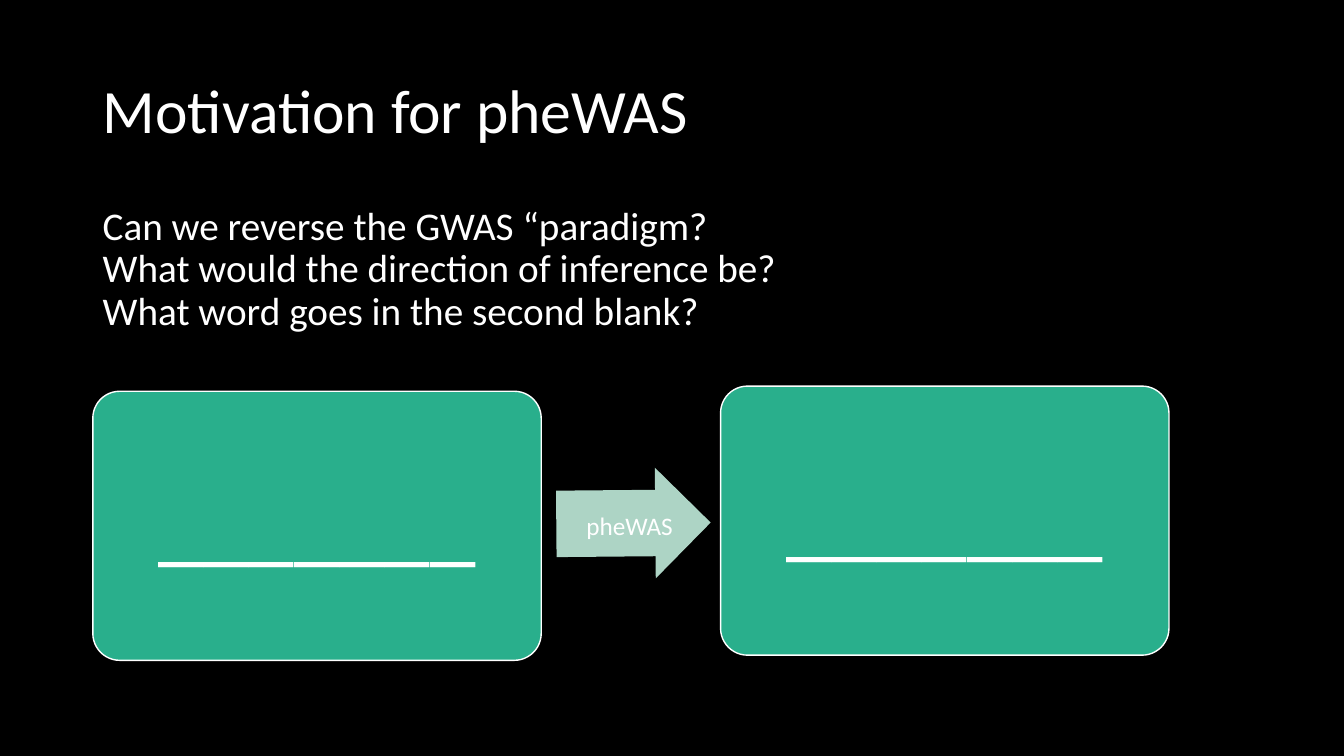
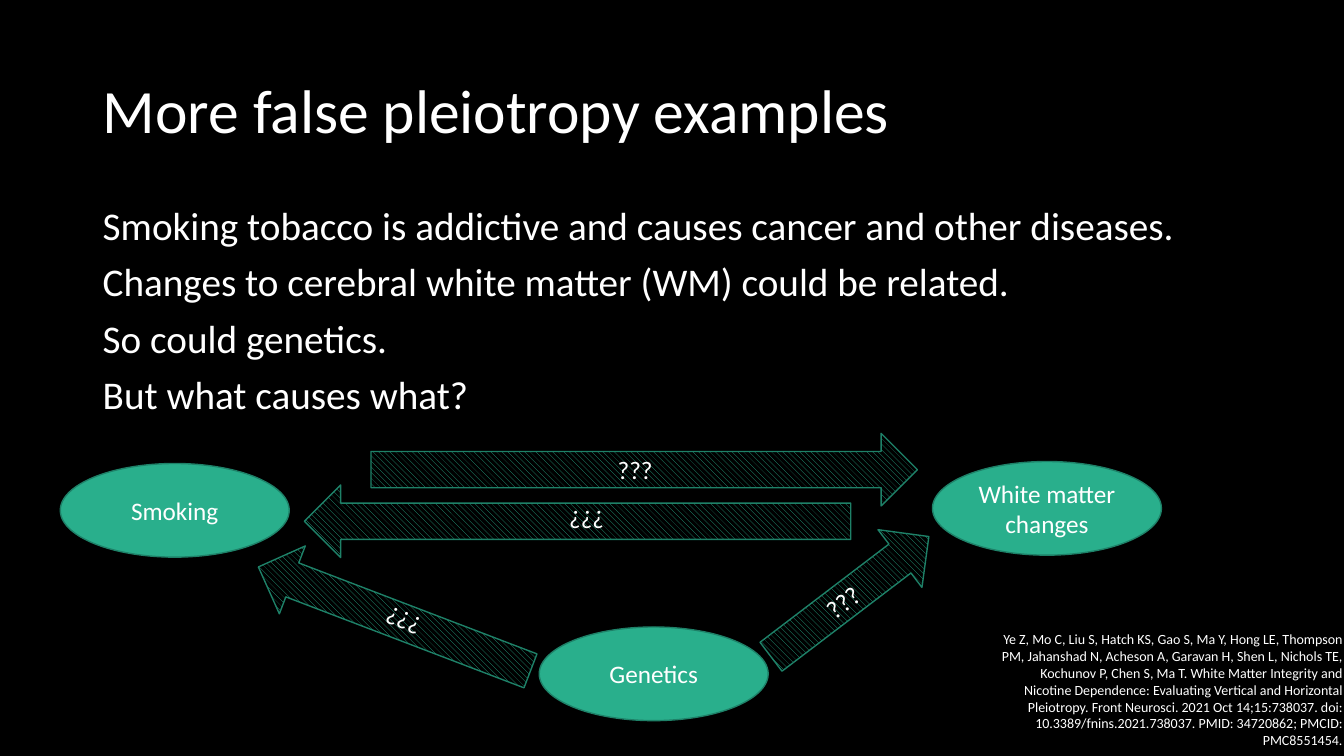
from dataclasses import dataclass, field

from pptx import Presentation
from pptx.dml.color import RGBColor
from pptx.enum.dml import MSO_PATTERN
from pptx.enum.shapes import MSO_SHAPE
from pptx.enum.text import MSO_ANCHOR, PP_ALIGN
from pptx.util import Cm, Pt

COLORS = {
    "black": "000000",
    "white": "FFFFFF",
    "green": "29AF8C",
    "dark green": "1E8168",
    "pale green": "ADD4C5",
}
FONT = "Calibri"

TITLE = {"line_spacing": 0.9}
BODY = {"line_spacing": 0.9, "space_before": Pt(10)}
CENTERED = {"alignment": PP_ALIGN.CENTER}
BLANK = {"alignment": PP_ALIGN.CENTER, "line_spacing": 0.9}
CITATION = {"alignment": PP_ALIGN.RIGHT}
MIDDLE = {"vertical_anchor": MSO_ANCHOR.MIDDLE}
CARD_FRAME = MIDDLE | {f"margin_{side}": Cm(0.69)
                       for side in ("left", "top", "right", "bottom")}


@dataclass
class Figure:
    """A preset shape; lengths in centimetres."""
    kind: MSO_SHAPE
    left: float
    top: float
    width: float
    height: float
    text: str = ""
    size: float = 18
    fill: str = "green"
    line: str | None = "dark green"
    hatched: bool = False
    rotation: float = 0
    adjustments: tuple[float, ...] = ()
    frame: dict = field(default_factory=lambda: MIDDLE)
    style: dict = field(default_factory=lambda: CENTERED)


def rgb(name: str) -> RGBColor:
    return RGBColor.from_string(COLORS[name])


def apply(target, values: dict) -> None:
    for name, value in values.items():
        setattr(target, name, value)


def write(sp, paragraphs: list[str], size: float, style: dict, frame: dict) -> None:
    tf = sp.text_frame
    apply(tf, {"word_wrap": True} | frame)
    for i, text in enumerate(paragraphs):
        p = tf.paragraphs[0] if i == 0 else tf.add_paragraph()
        p.text = text
        apply(p, style)
        if i == 0:
            p.space_before = Pt(0)
        for r in p.runs:
            apply(r.font, {"name": FONT, "size": Pt(size)})
            r.font.color.rgb = rgb("white")


def add_text(s, box: tuple[float, ...], paragraphs: list[str], size: float,
             style: dict, frame: dict) -> None:
    write(s.shapes.add_textbox(*map(Cm, box)), paragraphs, size, style, frame)


def add_figure(s, fig: Figure) -> None:
    box = (fig.left, fig.top, fig.width, fig.height)
    sp = s.shapes.add_shape(fig.kind, *map(Cm, box))
    sp.shadow.inherit = False
    sp.rotation = fig.rotation
    for i, value in enumerate(fig.adjustments):
        sp.adjustments[i] = value
    if fig.hatched:
        sp.fill.patterned()
        sp.fill.pattern = MSO_PATTERN.WIDE_DOWNWARD_DIAGONAL
        sp.fill.back_color.rgb = rgb("black")
    else:
        sp.fill.solid()
    sp.fill.fore_color.rgb = rgb(fig.fill)
    if fig.line:
        sp.line.color.rgb = rgb(fig.line)
        sp.line.width = Pt(1)
    else:
        sp.line.fill.background()
    if fig.text:
        write(sp, [fig.text], fig.size, fig.style, fig.frame)


def add_slide(prs, title: str, body: list[str], figures: list[Figure]):
    s = prs.slides.add_slide(prs.slide_layouts[6])
    add_text(s, (2.34, 1.02, 29.21, 3.68), [title], 44, TITLE, MIDDLE)
    add_text(s, (2.34, 5.08, 29.21, 5.6), body, 28, BODY, {})
    for fig in figures:
        add_figure(s, fig)
    return s


def card(left: float, top: float) -> Figure:
    return Figure(MSO_SHAPE.ROUNDED_RECTANGLE, left, top, 11.3, 6.78, "_______", 65,
                  line="white", adjustments=(0.1,), frame=CARD_FRAME, style=BLANK)


def factor(left: float, top: float, text: str) -> Figure:
    return Figure(MSO_SHAPE.OVAL, left, top, 5.77, 2.36, text)


def possible_cause(left: float, top: float, width: float, rotation: float) -> Figure:
    return Figure(MSO_SHAPE.RIGHT_ARROW, left, top, width, 1.83, "???",
                  hatched=True, rotation=rotation)


def add_motivation(prs) -> None:
    arrow = Figure(MSO_SHAPE.RIGHT_ARROW, 14.02, 11.79, 3.89, 2.79, fill="pale green",
                   line=None, rotation=359.5, adjustments=(0.6, 0.5))
    s = add_slide(
        prs, "Motivation for pheWAS",
        ["Can we reverse the GWAS “paradigm?\n"
         "What would the direction of inference be?\n"
         "What word goes in the second blank?"],
        [card(2.34, 9.86), arrow, card(18.16, 9.73)])
    add_text(s, (14.53, 12.73, 2.72, 1.02), ["pheWAS"], 18, {}, {"word_wrap": False})


def add_pleiotropy(prs) -> None:
    s = add_slide(
        prs, "More false pleiotropy examples",
        ["Smoking tobacco is addictive and causes cancer and other diseases.",
         "Changes to cerebral white matter (WM) could be related.",
         "So could genetics.",
         "But what causes what?"],
        [factor(1.52, 11.68, "Smoking"),
         factor(13.59, 15.8, "Genetics"),
         factor(23.5, 11.63, "White matter changes"),
         possible_cause(18.92, 14.12, 5, 322.7),
         possible_cause(9.35, 10.92, 13.77, 0),
         possible_cause(7.67, 12.22, 13.77, 180),
         possible_cause(6.27, 14.68, 7.34, 200.9)])
    add_text(
        s, (24.89, 15.77, 8.97, 3.25),
        ["Ye Z, Mo C, Liu S, Hatch KS, Gao S, Ma Y, Hong LE, Thompson PM, Jahanshad N, "
         "Acheson A, Garavan H, Shen L, Nichols TE, Kochunov P, Chen S, Ma T. "
         "White Matter Integrity and Nicotine Dependence: Evaluating Vertical and "
         "Horizontal Pleiotropy. Front Neurosci. 2021 Oct 14;15:738037. "
         "doi: 10.3389/fnins.2021.738037. PMID: 34720862; PMCID: PMC8551454."],
        10, CITATION, {"margin_right": Cm(0.03)})


def main() -> None:
    prs = Presentation()
    apply(prs, {"slide_width": Cm(33.87), "slide_height": Cm(19.05)})
    background = prs.slide_master.background.fill
    background.solid()
    background.fore_color.rgb = rgb("black")
    add_motivation(prs)
    add_pleiotropy(prs)
    prs.save("out.pptx")


if __name__ == "__main__":
    main()
